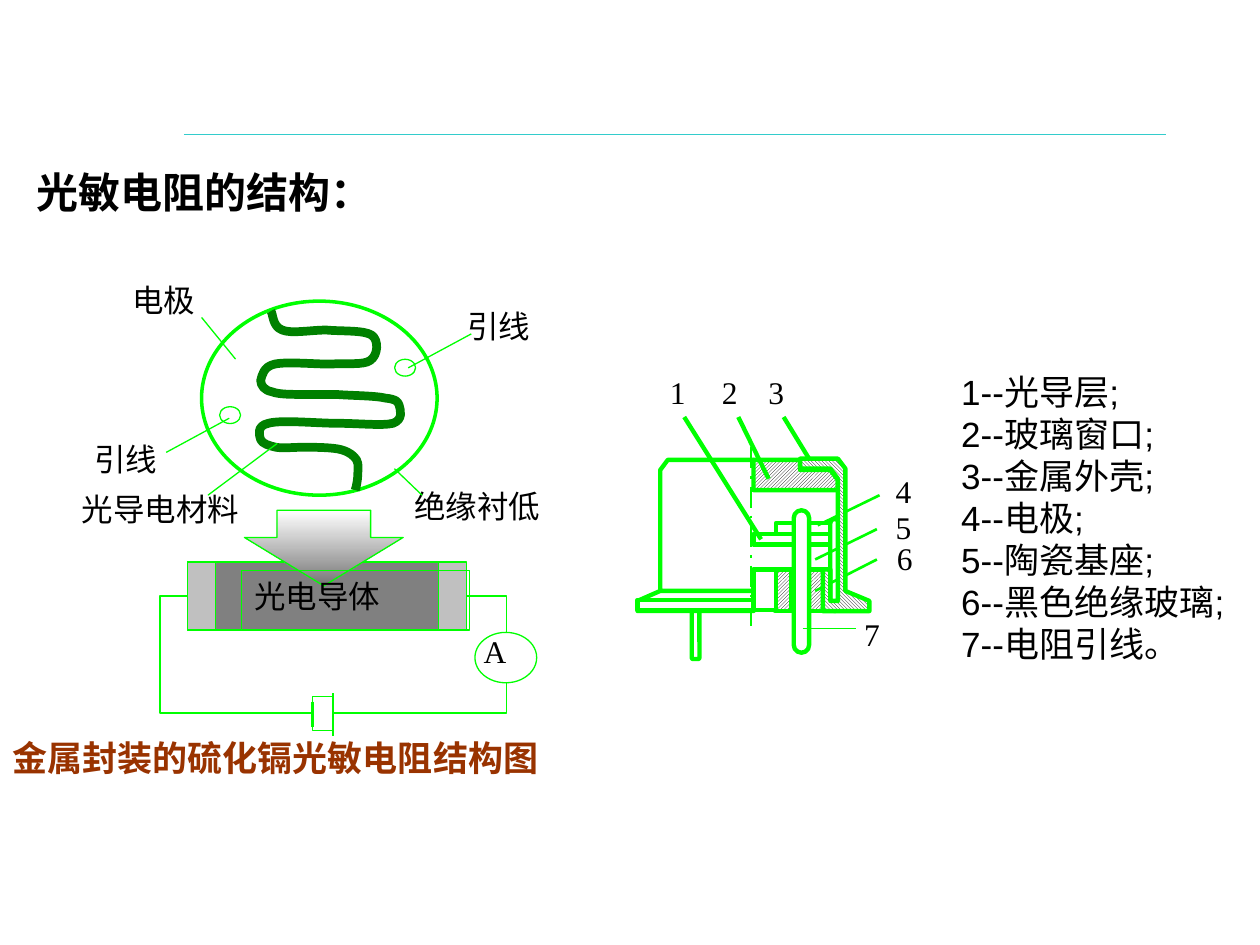
from dataclasses import dataclass
from typing import Optional, Union

from lxml.etree import SubElement
from pptx import Presentation
from pptx.dml.color import RGBColor
from pptx.enum.dml import MSO_LINE, MSO_PATTERN
from pptx.enum.shapes import MSO_CONNECTOR, MSO_SHAPE as Preset
from pptx.enum.text import PP_ALIGN as Align
from pptx.oxml.ns import qn
from pptx.util import Pt

WHITE = RGBColor(0xFF, 0xFF, 0xFF)
BLACK = RGBColor(0, 0, 0)
GREEN = RGBColor(0, 0xFF, 0)
DARK_GREEN = RGBColor(0, 0x80, 0)
TEAL = RGBColor(0x33, 0xCC, 0xCC)
BROWN = RGBColor(0x99, 0x33, 0)
GRAY = RGBColor(0x80, 0x80, 0x80)
SILVER = RGBColor(0xC0, 0xC0, 0xC0)
SHADE = RGBColor(0x76, 0x76, 0x76)
UP_HATCH = MSO_PATTERN.LIGHT_UPWARD_DIAGONAL
DOWN_HATCH = MSO_PATTERN.LIGHT_DOWNWARD_DIAGONAL
CJK_FONT = "Noto Sans CJK SC"
SERIF = "Times New Roman"
THIN, MEDIUM, THICK = 0.75, 1.5, 2.5
Fill = Union[RGBColor, MSO_PATTERN, tuple, None]


@dataclass
class Solid:
    preset: Preset
    frame: tuple
    fill: Fill = WHITE
    weight: float = THIN
    adjust: tuple = ()


@dataclass
class Outline:
    points: list
    fill: Fill = None
    weight: float = THICK
    color: RGBColor = GREEN
    closed: bool = True
    curved: bool = False


@dataclass
class Stroke:
    start: tuple
    end: tuple
    weight: float = THIN
    color: RGBColor = GREEN
    dash: Optional[MSO_LINE] = None


@dataclass
class Label:
    text: str
    frame: tuple


def paint(shape, fill: Fill, weight: float, color: RGBColor = GREEN) -> None:
    shape.shadow.inherit = False
    shape.line.color.rgb = color
    shape.line.width = Pt(weight)
    if fill is None:
        shape.fill.background()
    elif isinstance(fill, RGBColor):
        shape.fill.solid()
        shape.fill.fore_color.rgb = fill
    elif isinstance(fill, tuple):
        shape.fill.gradient()
        shape.fill.gradient_angle = 270
        for stop, tone in zip(shape.fill.gradient_stops, fill):
            stop.color.rgb = tone
    else:
        shape.fill.patterned()
        shape.fill.pattern = fill
        shape.fill.fore_color.rgb = BLACK
        shape.fill.back_color.rgb = WHITE


def draw_solid(shapes, part: Solid):
    shape = shapes.add_shape(part.preset, *map(Pt, part.frame))
    for index, value in enumerate(part.adjust):
        shape.adjustments[index] = value
    paint(shape, part.fill, part.weight)
    return shape


def draw_outline(shapes, part: Outline) -> None:
    first, *rest = [(Pt(x), Pt(y)) for x, y in part.points]
    builder = shapes.build_freeform(*first, scale=1.0)
    builder.add_line_segments(rest, close=part.closed)
    shape = builder.convert_to_shape()
    paint(shape, part.fill, part.weight, part.color)
    if part.curved:
        route = shape._element.find(".//" + qn("a:path"))
        steps = route.findall(qn("a:lnTo"))
        for index in range(0, len(steps), 3):
            curve = SubElement(route, qn("a:cubicBezTo"))
            for step in steps[index:index + 3]:
                curve.append(step[0])
                route.remove(step)


def draw_stroke(shapes, part: Stroke) -> None:
    line = shapes.add_connector(MSO_CONNECTOR.STRAIGHT, *map(Pt, part.start + part.end))
    line.line.color.rgb = part.color
    line.line.width = Pt(part.weight)
    if part.dash:
        line.line.dash_style = part.dash
    SubElement(line._element.spPr, qn("a:effectLst"))


def write(shape, text: str, *, size: float = 18, font: str = SERIF, color: RGBColor = BLACK,
          bold: bool = False, align: Align = Align.JUSTIFY, spacing: float = 1.2) -> None:
    frame = shape.text_frame
    frame.word_wrap = True
    frame.vertical_anchor = 1
    frame.text = text
    for paragraph in frame.paragraphs:
        paragraph.alignment = align
        paragraph.line_spacing = Pt(size * spacing)
        for run in paragraph.runs:
            run.font.size = Pt(size)
            run.font.name = font
            run.font.bold = bold
            run.font.color.rgb = color
            SubElement(run._r.rPr, qn("a:ea")).set("typeface", CJK_FONT)


def draw_label(shapes, part: Label, **style) -> None:
    write(shapes.add_textbox(*map(Pt, part.frame)), part.text, **style)


DRAW = {Solid: draw_solid, Outline: draw_outline, Stroke: draw_stroke, Label: draw_label}


def draw_all(shapes, parts: list) -> None:
    for part in parts:
        DRAW[type(part)](shapes, part)


def rectangle(left: float, top: float, right: float, bottom: float) -> list:
    return [(left, top), (right, top), (right, bottom), (left, bottom)]


MEANDER = [
    (154.8, 177.8), (156.2, 179.3), (155.5, 186.5), (161.3, 188.6), (166.3, 190.8), (177.8, 188.6),
    (186.5, 188.6), (195.1, 189.4), (208.1, 188.6), (212.4, 191.5), (216.7, 194.4), (216, 203),
    (211.7, 205.9), (208.1, 208.8), (198, 207.4), (188.6, 208.1), (180, 208.1), (163.4, 206.6),
    (157, 208.1), (150.5, 209.5), (149.8, 214.6), (149, 217.4), (149, 220.3), (151.2, 223.2),
    (155.5, 223.9), (159.1, 225.4), (166.3, 225.4), (172.8, 225.4), (179.3, 225.4), (184.3, 225.4),
    (192.2, 225.4), (200.2, 226.1), (214.6, 226.1), (220.3, 227.5), (226.8, 228.2), (227.5, 229.7),
    (228.2, 231.8), (229, 234.7), (230.4, 239.8), (224.6, 241.9), (218.9, 243.4), (204.5, 241.9),
    (193, 241.9), (180.7, 241.9), (160.6, 239.8), (153.4, 241.9), (146.2, 243.4), (148.3, 249.1),
    (149, 251.3), (149.8, 253.4), (154.1, 254.9), (157.7, 255.6), (162, 256.3), (167, 255.6),
    (173.5, 255.6), (179.3, 255.6), (190.1, 255.6), (195.1, 257), (200.2, 258.5), (202.3, 260.6),
    (203.8, 262.8), (205.2, 265.7), (204.5, 267.8), (204.5, 270.7), (204.5, 273.6), (203.8, 277.9),
    (203, 280.1)]
WINDOW = [(457.2, 262.8), (457.2, 268.6), (474.5, 268.6), (478.8, 274.3), (478.8, 280.1),
          (430.6, 280.1), (430.6, 262.8)]
HOUSING = [(430.6, 262.8), (381.6, 262.8), (377.3, 268.6), (377.3, 337.7), (364.3, 343.4),
           (364.3, 349.2), (430.6, 349.2), (430.6, 337.7), (377.3, 337.7)]
SHELL = [(457.2, 262.1), (478.8, 262.1), (483.1, 267.8), (483.1, 337.7), (496.8, 343.4),
         (496.8, 349.2), (470.2, 349.2), (470.2, 325.4), (474.5, 325.4), (474.5, 343.4),
         (478.8, 343.4), (478.8, 273.6), (474.5, 267.8), (457.2, 267.8)]

CIRCUIT = [
    Outline(rectangle(91.4, 340.6, 289.4, 407.5), weight=THIN),
    Solid(Preset.OVAL, (115.2, 172.1, 134.6, 110.9), weight=2),
    Outline(MEANDER, weight=5, color=DARK_GREEN, closed=False, curved=True),
    Solid(Preset.RECTANGLE, (107.3, 321.1, 158.4, 38.9), GRAY),
    Solid(Preset.DOWN_ARROW, (139.7, 291.6, 90.7, 43.2), (WHITE, SHADE), adjust=(0.59, 0.64)),
    *[Solid(Preset.RECTANGLE, (left, 321.1, 15.8, 38.9), SILVER) for left in (107.3, 250.6)],
    Solid(Preset.RECTANGLE, (178.6, 398.2, 12, 19.4)),
    *[Stroke((x, 401), (x, 415.4), 1.25) for x in (178.6, 190.2)],
    Stroke((190.2, 396), (190.2, 420.5), 1.25),
    Solid(Preset.OVAL, (271.4, 361.4, 35.3, 28.8)),
    Label("A", (269.3, 357.8, 42.5, 33.8)),
    Label("光导电材料", (39.6, 276.5, 130.3, 33.8)),
    Label("绝缘衬低", (229.7, 275, 110.9, 33.8)),
    Label("引线", (259.9, 172.1, 74.9, 33.8)),
    Label("电极", (68.4, 157, 74.9, 33.8)),
    Label("引线", (46.8, 247.7, 74.9, 33.8)),
    Solid(Preset.OVAL, (125.5, 232.4, 12, 9.6)),
    Solid(Preset.OVAL, (225.5, 205.3, 12, 9.6)),
    Stroke((95, 258.5), (131, 239)),
    Stroke((233.3, 210.2), (269.3, 190.8)),
    Stroke((134.6, 205.2), (115.2, 181.4)),
    Stroke((158.4, 253.4), (118.8, 283)),
    Stroke((225.4, 267.8), (241.2, 283)),
]

SECTION = [
    Outline(WINDOW, UP_HATCH),
    Outline(rectangle(460.8, 325.4, 470.2, 349.2), UP_HATCH),
    Solid(Preset.RECTANGLE, (443.5, 298.8, 31, 7.2), weight=THICK),
    Solid(Preset.RECTANGLE, (430.6, 305.3, 48.6, 5.8), weight=THICK),
    Solid(Preset.ROUNDED_RECTANGLE, (474.5, 296.6, 5, 52.6), weight=THICK, adjust=(0.5,)),
    Solid(Preset.ROUNDED_RECTANGLE, (453.6, 291.6, 8.8, 81.4), weight=THICK, adjust=(0.5,)),
    Outline(rectangle(442.8, 325.4, 452.2, 349.2), UP_HATCH),
    Solid(Preset.RECTANGLE, (430.6, 325.4, 13, 23.4), weight=THICK),
    Stroke((429.1, 255.6), (429.1, 360.7), MEDIUM, dash=MSO_LINE.LONG_DASH_DOT),
    Stroke((364.3, 342.7), (430.6, 342.7), THICK),
    Solid(Preset.ROUNDED_RECTANGLE, (395.3, 347.8, 4.4, 28.8), weight=THICK, adjust=(0.17,)),
    Outline(HOUSING, closed=False),
    Solid(Preset.RECTANGLE, (364.3, 342.7, 66.2, 5.8), weight=THICK),
    Stroke((434.9, 308.2), (391, 238.3), THICK),
    Stroke((439.2, 273.6), (421.9, 238.3), THICK),
    Stroke((465.8, 267.8), (447.8, 238.3), THICK),
    Stroke((467.3, 300.2), (502.6, 283), MEDIUM),
    Stroke((465.8, 319.7), (501.1, 302.4), MEDIUM),
    Stroke((465.8, 337.7), (501.1, 319.7), MEDIUM),
    Outline(SHELL, DOWN_HATCH),
    *[Label(str(number), (left, top, 28, 28)) for number, (left, top) in enumerate(
        [(375.8, 209.5), (405.4, 209.5), (432, 209.5), (504.7, 266.4), (504.7, 286.6),
         (505.4, 304.6), (486.7, 347.8)], start=1)],
    Stroke((458.6, 359.3), (488.9, 359.3)),
]

PART_NAMES = ["光导层;", "玻璃窗口;", "金属外壳;", "电极;", "陶瓷基座;", "黑色绝缘玻璃;", "电阻引线。"]


def main() -> None:
    deck = Presentation()
    deck.slide_width, deck.slide_height = Pt(720), Pt(540)
    shapes = deck.slides.add_slide(deck.slide_layouts[6]).shapes
    draw_stroke(shapes, Stroke((105.1, 77), (666, 77), color=TEAL))
    draw_label(shapes, Label("光敏电阻的结构：", (13.7, 77, 234.7, 51.1)), size=24,
               font=CJK_FONT, bold=True, align=Align.LEFT, spacing=1.8)
    circuit = shapes.add_group_shape().shapes
    draw_all(circuit, CIRCUIT)
    draw_label(circuit, Label("金属封装的硫化镉光敏电阻结构图", (0, 417.6, 396, 72)), size=20,
               color=BROWN, bold=True, align=Align.LEFT)
    conductor = draw_solid(circuit, Solid(Preset.RECTANGLE, (138.2, 326.2, 130.3, 33.8), None))
    write(conductor, "光电导体")
    draw_all(shapes.add_group_shape().shapes, SECTION)
    legend = "\n".join(f"{number}--{name}" for number, name in enumerate(PART_NAMES, start=1))
    draw_label(shapes, Label(legend, (542.2, 208.1, 182.9, 239.8)), size=20, font="Arial")
    deck.save("out.pptx")


if __name__ == "__main__":
    main()
